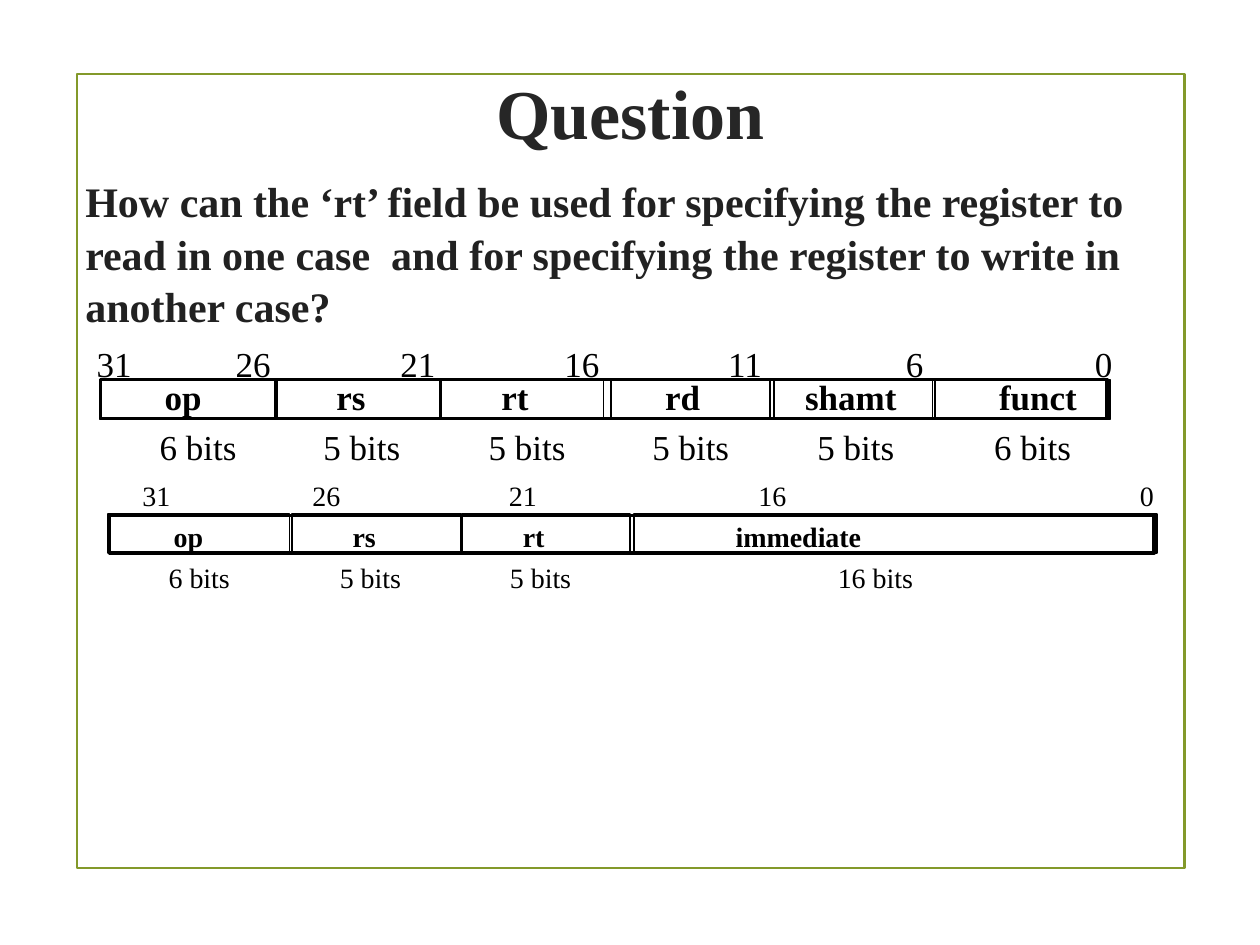
from dataclasses import dataclass

from pptx import Presentation
from pptx.dml.color import RGBColor
from pptx.enum.shapes import MSO_SHAPE as Shape
from pptx.enum.text import MSO_ANCHOR as Anchor, PP_ALIGN as Align
from pptx.util import Cm, Pt


@dataclass(frozen=True)
class Theme:
    font: str = "Times New Roman"
    frame: RGBColor = RGBColor(0x83, 0x99, 0x2A)
    title: RGBColor = RGBColor(0x26, 0x26, 0x26)
    question: RGBColor = RGBColor(0x21, 0x21, 0x21)
    ink: RGBColor = RGBColor(0, 0, 0)
    title_size: int = 40
    question_size: int = 24
    register_size: int = 20
    immediate_size: int = 16


THEME = Theme()


@dataclass(frozen=True)
class Field:
    """One field of an instruction word; lengths in cm."""
    name: str
    bits: int
    left: float
    width: float
    name_left: float
    name_width: float
    bits_left: float


@dataclass(frozen=True)
class Format:
    """One instruction format: its outline, fields and bit numbers; lengths in cm."""
    size: int
    label_height: float
    outline: tuple
    cell_top: float
    cell_height: float
    name_top: float
    number_top: float
    bits_top: float
    digit_width: float
    bits_width: float
    fields: tuple
    bit_numbers: tuple


REGISTER_FORMAT = Format(
    size=THEME.register_size, label_height=1.09,
    outline=(2.03, 7.65, 20.29, 0.79),
    cell_top=7.65, cell_height=0.81,
    name_top=7.44, number_top=6.78, bits_top=8.46,
    digit_width=0.4, bits_width=2.46,
    fields=(
        Field("op", 6, 2.01, 3.53, 3.07, 1.5, 2.97),
        Field("rs", 5, 5.59, 3.28, 6.53, 1.32, 6.27),
        Field("rt", 5, 8.89, 3.28, 9.86, 1.27, 9.6),
        Field("rd", 5, 12.32, 3.28, 13.16, 1.45, 12.9),
        Field("shamt", 5, 15.52, 3.28, 15.98, 2.82, 16.23),
        Field("funct", 6, 18.85, 3.53, 19.89, 2.49, 19.79),
    ),
    bit_numbers=((31, 1.7), (26, 4.5), (21, 7.82), (16, 11.13),
                 (11, 14.43), (6, 18.01), (0, 21.82)),
)

IMMEDIATE_FORMAT = Format(
    size=THEME.immediate_size, label_height=0.91,
    outline=(2.21, 10.39, 21.06, 0.76),
    cell_top=10.36, cell_height=0.79,
    name_top=10.34, number_top=9.53, bits_top=11.18,
    digit_width=0.37, bits_width=2.54,
    fields=(
        Field("op", 6, 2.18, 3.66, 3.25, 1.37, 3.15),
        Field("rs", 5, 5.89, 3.4, 6.86, 1.22, 6.6),
        Field("rt", 5, 9.32, 3.38, 10.29, 1.17, 10.03),
        Field("immediate", 16, 12.78, 10.54, 14.58, 4.04, 16.64),
    ),
    bit_numbers=((31, 2.62), (26, 6.05), (21, 10.01), (16, 15.04), (0, 22.73)),
)


def add_outline(shapes, box, color, weight):
    rectangle = shapes.add_shape(Shape.RECTANGLE, *map(Cm, box))
    rectangle.shadow.inherit = False
    rectangle.fill.background()
    rectangle.line.color.rgb = color
    rectangle.line.width = Pt(weight)


def add_text(shapes, box, text, size, color=THEME.ink, bold=False,
             align=Align.LEFT, anchor=Anchor.TOP, spacing=None):
    frame = shapes.add_textbox(*map(Cm, box)).text_frame
    frame.word_wrap = True
    frame.vertical_anchor = anchor
    paragraph = frame.paragraphs[0]
    paragraph.alignment = align
    paragraph.line_spacing = spacing
    run = paragraph.add_run()
    run.text = text
    run.font.name = THEME.font
    run.font.size = Pt(size)
    run.font.bold = bold
    run.font.color.rgb = color


def add_format(slide, layout):
    """Draw an instruction word with its bit numbers above and sizes below."""
    shapes = slide.shapes.add_group_shape().shapes
    height = layout.label_height
    add_outline(shapes, layout.outline, THEME.ink, 2)
    for field in layout.fields:
        add_outline(shapes, (field.left, layout.cell_top, field.width, layout.cell_height),
                    THEME.ink, 1)
        add_text(shapes, (field.name_left, layout.name_top, field.name_width, height),
                 field.name, layout.size, bold=True)
        add_text(shapes, (field.bits_left, layout.bits_top, layout.bits_width, height),
                 f"{field.bits} bits", layout.size)
    for number, left in layout.bit_numbers:
        width = 0.64 + layout.digit_width * len(str(number))
        add_text(shapes, (left, layout.number_top, width, height),
                 str(number), layout.size)


def main():
    presentation = Presentation()
    presentation.slide_width = Cm(25.4)
    presentation.slide_height = Cm(19.05)
    slide = presentation.slides.add_slide(presentation.slide_layouts[6])

    add_outline(slide.shapes, (1.55, 1.5, 22.33, 16), THEME.frame, 1.25)
    add_text(slide.shapes, (1.7, 0.43, 22.02, 3.63), "Question", THEME.title_size,
             THEME.title, bold=True, align=Align.CENTER, anchor=Anchor.MIDDLE)
    add_format(slide, REGISTER_FORMAT)
    add_format(slide, IMMEDIATE_FORMAT)
    add_text(slide.shapes, (1.47, 3.38, 23.06, 3.33),
             "How can the ‘rt’ field be used for specifying the register to read in one "
             "case  and for specifying the register to write in another case?",
             THEME.question_size, THEME.question, bold=True, spacing=1.04)

    presentation.save("out.pptx")


if __name__ == "__main__":
    main()
